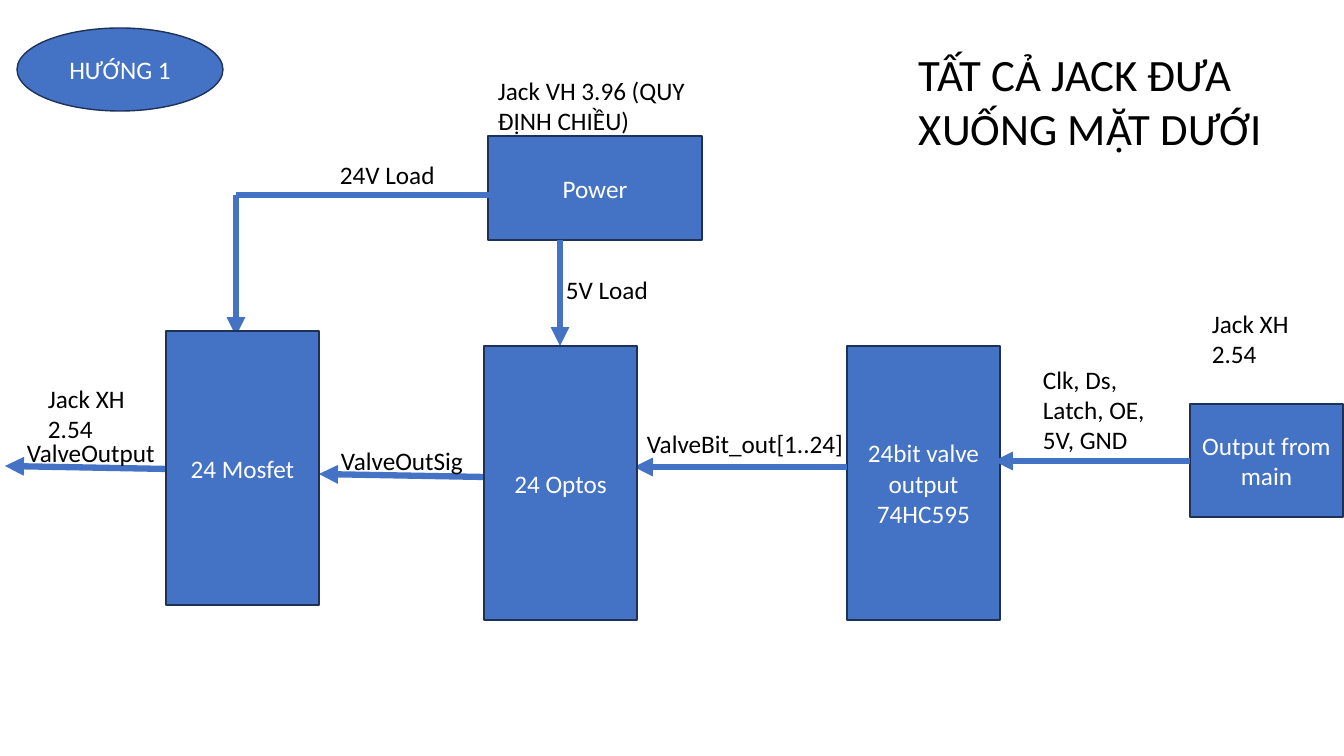
from lxml import etree
from pptx import Presentation
from pptx.dml.color import RGBColor
from pptx.enum.shapes import MSO_CONNECTOR, MSO_SHAPE
from pptx.enum.text import MSO_ANCHOR, MSO_AUTO_SIZE, PP_ALIGN
from pptx.oxml.ns import qn
from pptx.util import Pt

PX = 914400 / 100.8
BLUE, EDGE, WHITE, BLACK = "4472C4", "1E3256", "FFFFFF", "000000"
rgb = RGBColor.from_string

prs = Presentation()
prs.slide_width, prs.slide_height = round(1344 * PX), round(756 * PX)
shapes = prs.slides.add_slide(prs.slide_layouts[6]).shapes


def write(shape, text, size, color, align):
    frame = shape.text_frame
    frame.word_wrap = True
    frame.text = text
    for paragraph in frame.paragraphs:
        paragraph.alignment = align
        font = paragraph.runs[0].font
        font.name, font.size, font.color.rgb = "Calibri", Pt(size), rgb(color)


def add_block(kind, text, *box):
    block = shapes.add_shape(kind, *(round(v * PX) for v in box))
    block.shadow.inherit = False
    block.fill.solid()
    block.fill.fore_color.rgb = rgb(BLUE)
    block.line.color.rgb = rgb(EDGE)
    block.line.width = Pt(1)
    block.text_frame.vertical_anchor = MSO_ANCHOR.MIDDLE
    write(block, text, 18, WHITE, PP_ALIGN.CENTER)


# Blocks behind the signal lines
STAGE_W, STAGE_H = 153, 274
RECT = MSO_SHAPE.RECTANGLE
add_block(RECT, "24bit valve output\n74HC595", 847, 346, STAGE_W, STAGE_H)
add_block(RECT, "Output from main", 1190, 404, STAGE_W, 113)
add_block(RECT, "Power", 488, 136, 214, 104)

# Signal and power lines: start, end, arrowhead
for x1, y1, x2, y2, arrow in [
    (1190, 461, 994, 461, True),
    (847, 467, 634, 467, True),
    (517, 195, 236, 195, False),
    (236, 195, 236, 336, True),
    (169, 469, 5, 466, True),
    (484, 477, 319, 474, True),
    (560, 240, 560, 346, True),
]:
    line = shapes.add_connector(
        MSO_CONNECTOR.STRAIGHT, *(round(v * PX) for v in (x1, y1, x2, y2)))
    line.line.color.rgb = rgb(BLUE)
    line.line.width = Pt(4.5)
    if arrow:
        etree.SubElement(line.line._get_or_add_ln(), qn("a:tailEnd"), type="triangle")
    etree.SubElement(line._element.spPr, qn("a:effectLst"))

# Blocks in front of the line ends
add_block(RECT, "24 Optos", 484, 346, STAGE_W, STAGE_H)
add_block(RECT, "24 Mosfet", 166, 331, STAGE_W, STAGE_H)
add_block(MSO_SHAPE.OVAL, "HƯỚNG 1", 17, 28, 206, 83)

# Labels and heading
for text, size, *box in [
    ("Clk, Ds, Latch, OE,\n5V, GND", 18, 1033, 359, 137, 102),
    ("ValveBit_out[1..24]", 18, 637, 423, 225, 40),
    ("24V Load", 18, 330, 154, 137, 40),
    ("ValveOutput", 18, 17, 432, 198, 40),
    ("ValveOutSig", 18, 331, 440, 198, 40),
    ("5V Load", 18, 556, 269, 137, 40),
    ("Jack XH 2.54", 18, 1202, 303, 137, 72),
    ("Jack VH 3.96 (QUY ĐỊNH CHIỀU)", 18, 488, 70, 259, 72),
    ("Jack XH 2.54", 18, 38, 378, 137, 72),
    ("TẤT CẢ JACK ĐƯA XUỐNG MẶT DƯỚI", 32, 909, 42, 365, 119),
]:
    label = shapes.add_textbox(*(round(v * PX) for v in box))
    write(label, text, size, BLACK, PP_ALIGN.LEFT)
    label.text_frame.auto_size = MSO_AUTO_SIZE.SHAPE_TO_FIT_TEXT

prs.save("out.pptx")
